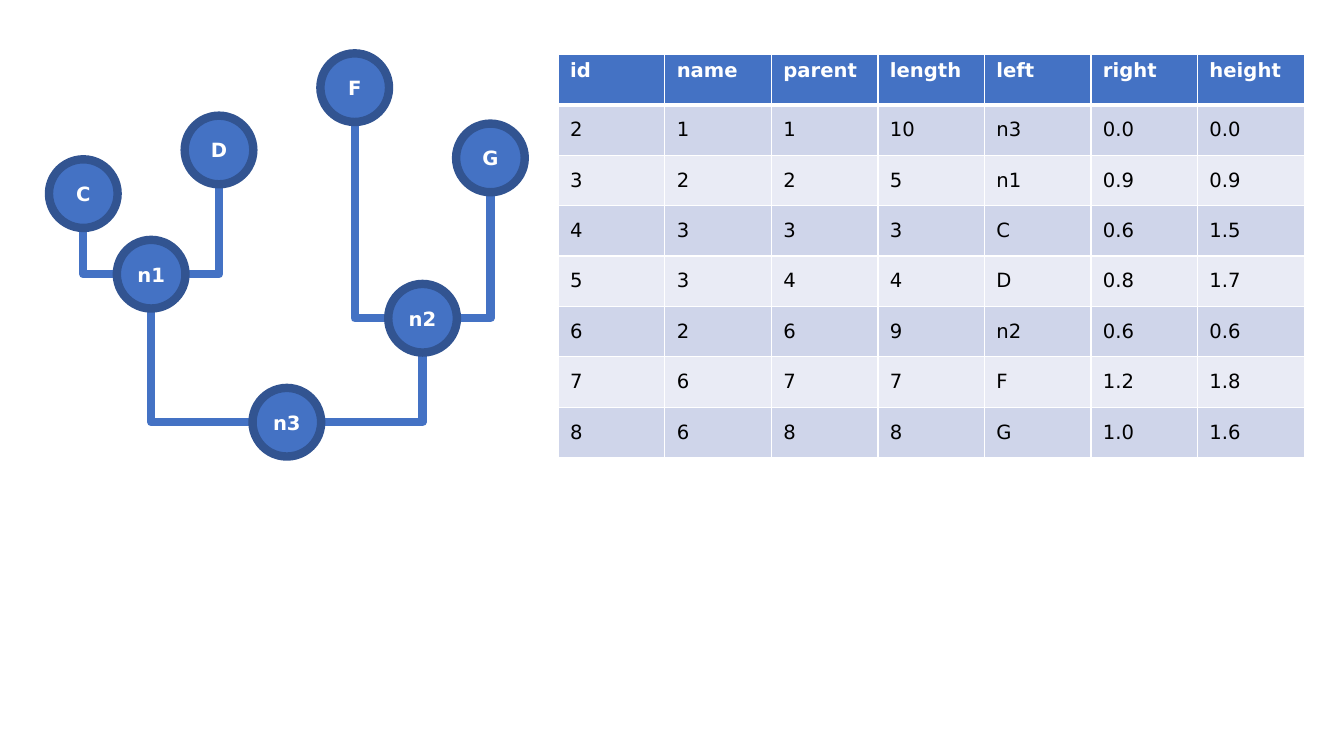
from dataclasses import dataclass

import pptx
import pptx.dml.color
import pptx.enum.shapes
import pptx.enum.text
import pptx.oxml
import pptx.oxml.ns
import pptx.util
from pptx.util import Cm

FONT = "DejaVu Sans"
BLUE, DARK_BLUE = "4472C4", "325491"
WHITE, BLACK = "FFFFFF", "000000"
BANDS = ("CFD5EA", "E9EBF5")

NODE_SIZE = 1.73
FIRST_COLUMN, COLUMN_STEP = 2.1, 1.71
# Connection sites of an ellipse
LEFT_SITE, BOTTOM_SITE, RIGHT_SITE = 2, 4, 6

TABLE_LEFT, TABLE_TOP, TABLE_WIDTH, ROW_HEIGHT = 14.07, 1.37, 18.8, 1.27
HEADER = ("id", "name", "parent", "length", "left", "right", "height")
ROWS = (
    ("2", "1", "1", "10", "n3", "0.0", "0.0"),
    ("3", "2", "2", "5", "n1", "0.9", "0.9"),
    ("4", "3", "3", "3", "C", "0.6", "1.5"),
    ("5", "3", "4", "4", "D", "0.8", "1.7"),
    ("6", "2", "6", "9", "n2", "0.6", "0.6"),
    ("7", "6", "7", "7", "F", "1.2", "1.8"),
    ("8", "6", "8", "8", "G", "1.0", "1.6"),
)


@dataclass(frozen=True)
class Node:
    """A tree node; column counts steps from the left, y is its centre in cm."""
    name: str
    column: int
    y: float
    children: tuple[str, ...] = ()

    @property
    def x(self) -> float:
        return FIRST_COLUMN + self.column * COLUMN_STEP


NODES = (
    Node("n1", 1, 6.91, ("C", "D")),
    Node("C", 0, 4.88),
    Node("D", 2, 3.78),
    Node("n3", 3, 10.64, ("n1", "n2")),
    Node("F", 4, 2.21),
    Node("n2", 5, 8.02, ("F", "G")),
    Node("G", 6, 3.98),
)


def rgb(value: str) -> pptx.dml.color.RGBColor:
    return pptx.dml.color.RGBColor.from_string(value)


def write_text(frame, text: str, *, color: str, bold: bool = False,
               size: float = 14, align=pptx.enum.text.PP_ALIGN.LEFT) -> None:
    paragraph = frame.paragraphs[0]
    paragraph.alignment = align
    run = paragraph.add_run()
    run.text = text
    run.font.name = FONT
    run.font.size = pptx.util.Pt(size)
    run.font.bold = bold
    run.font.color.rgb = rgb(color)


def draw_node(slide, node: Node):
    shape = slide.shapes.add_shape(
        pptx.enum.shapes.MSO_SHAPE.OVAL,
        Cm(node.x - NODE_SIZE / 2), Cm(node.y - NODE_SIZE / 2),
        Cm(NODE_SIZE), Cm(NODE_SIZE))
    shape.shadow.inherit = False
    shape.fill.solid()
    shape.fill.fore_color.rgb = rgb(BLUE)
    shape.line.color.rgb = rgb(DARK_BLUE)
    shape.line.width = pptx.util.Pt(6)
    shape.text_frame.word_wrap = False
    shape.text_frame.vertical_anchor = pptx.enum.text.MSO_ANCHOR.MIDDLE
    write_text(shape.text_frame, node.name, color=WHITE, bold=True,
               align=pptx.enum.text.PP_ALIGN.CENTER)
    return shape


def draw_branch(slide, parent: Node, child: Node, shapes: dict):
    """Joins the parent's side to the child's bottom with one right angle."""
    radius = NODE_SIZE / 2
    side = 1 if child.x > parent.x else -1
    connector = slide.shapes.add_connector(
        pptx.enum.shapes.MSO_CONNECTOR.ELBOW,
        Cm(parent.x + side * radius), Cm(parent.y),
        Cm(child.x), Cm(child.y + radius))
    connector.line.color.rgb = rgb(BLUE)
    connector.line.width = pptx.util.Pt(6)
    element = connector._element
    element.spPr.find(pptx.oxml.ns.qn("a:prstGeom")).set("prst", "bentConnector2")
    element.spPr.append(pptx.oxml.parse_xml(
        f'<a:effectLst {pptx.oxml.ns.nsdecls("a")}/>'))
    links = element.nvCxnSpPr.cNvCxnSpPr
    parent_site = RIGHT_SITE if side > 0 else LEFT_SITE
    for tag, node, site in (("stCxn", parent, parent_site),
                            ("endCxn", child, BOTTOM_SITE)):
        links.append(pptx.oxml.parse_xml(
            f'<a:{tag} {pptx.oxml.ns.nsdecls("a")} '
            f'id="{shapes[node.name].shape_id}" idx="{site}"/>'))
    return connector


def draw_tree(slide) -> None:
    nodes = {node.name: node for node in NODES}
    shapes = {node.name: draw_node(slide, node) for node in NODES}
    first_node = shapes[NODES[0].name]._element
    for parent in NODES:
        for name in parent.children:
            branch = draw_branch(slide, parent, nodes[name], shapes)
            first_node.addprevious(branch._element)  # behind the nodes


def set_borders(cell, top: float, bottom: float) -> None:
    properties = cell._tc.get_or_add_tcPr()
    for side, width in (("L", 1), ("R", 1), ("T", top), ("B", bottom)):
        properties.append(pptx.oxml.parse_xml(
            f'<a:ln{side} {pptx.oxml.ns.nsdecls("a")} w="{pptx.util.Pt(width)}">'
            f'<a:solidFill><a:srgbClr val="{WHITE}"/></a:solidFill></a:ln{side}>'))


def draw_cell(cell, text: str, row: int) -> None:
    is_header = row == 0
    set_borders(cell, top=3 if row == 1 else 1, bottom=3 if is_header else 1)
    cell.fill.solid()
    cell.fill.fore_color.rgb = rgb(BLUE if is_header else BANDS[(row - 1) % 2])
    cell.margin_left = Cm(0.3)
    cell.margin_right = Cm(0.25 if is_header else 0.05)
    cell.margin_top = cell.margin_bottom = Cm(0.13 if is_header else 0.05)
    anchors = pptx.enum.text.MSO_ANCHOR
    cell.vertical_anchor = anchors.TOP if is_header else anchors.MIDDLE
    write_text(cell.text_frame, text, color=WHITE if is_header else BLACK,
               bold=is_header)


def draw_table(slide) -> None:
    rows = (HEADER, *ROWS)
    table = slide.shapes.add_table(
        len(rows), len(HEADER), Cm(TABLE_LEFT), Cm(TABLE_TOP),
        Cm(TABLE_WIDTH), Cm(ROW_HEIGHT * len(rows))).table
    for row, values in enumerate(rows):
        for column, text in enumerate(values):
            draw_cell(table.cell(row, column), text, row)


def main() -> None:
    presentation = pptx.Presentation()
    presentation.slide_width = Cm(33.87)
    presentation.slide_height = Cm(19.05)
    slide = presentation.slides.add_slide(presentation.slide_layouts[6])
    draw_tree(slide)
    draw_table(slide)
    presentation.save("out.pptx")


if __name__ == "__main__":
    main()
